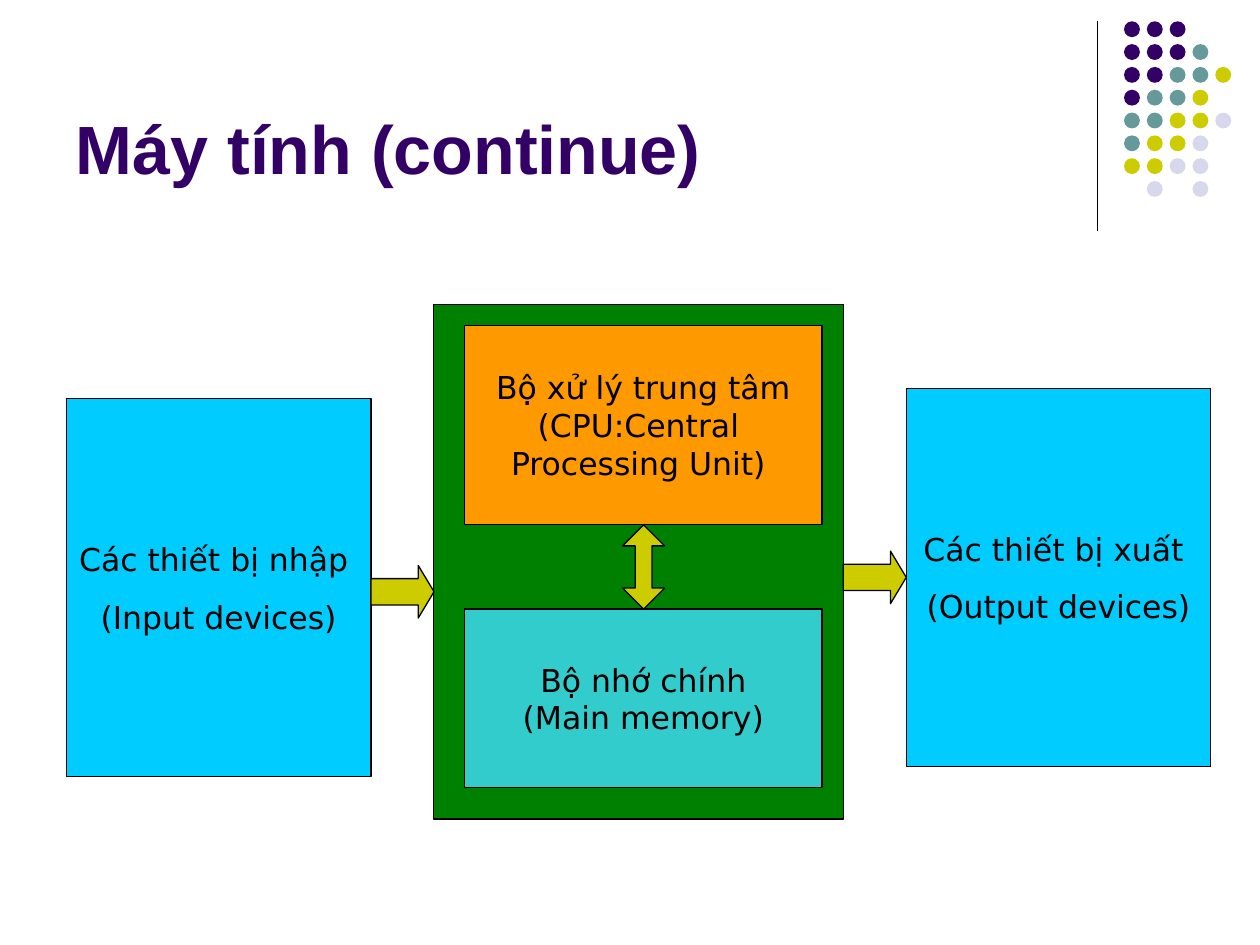
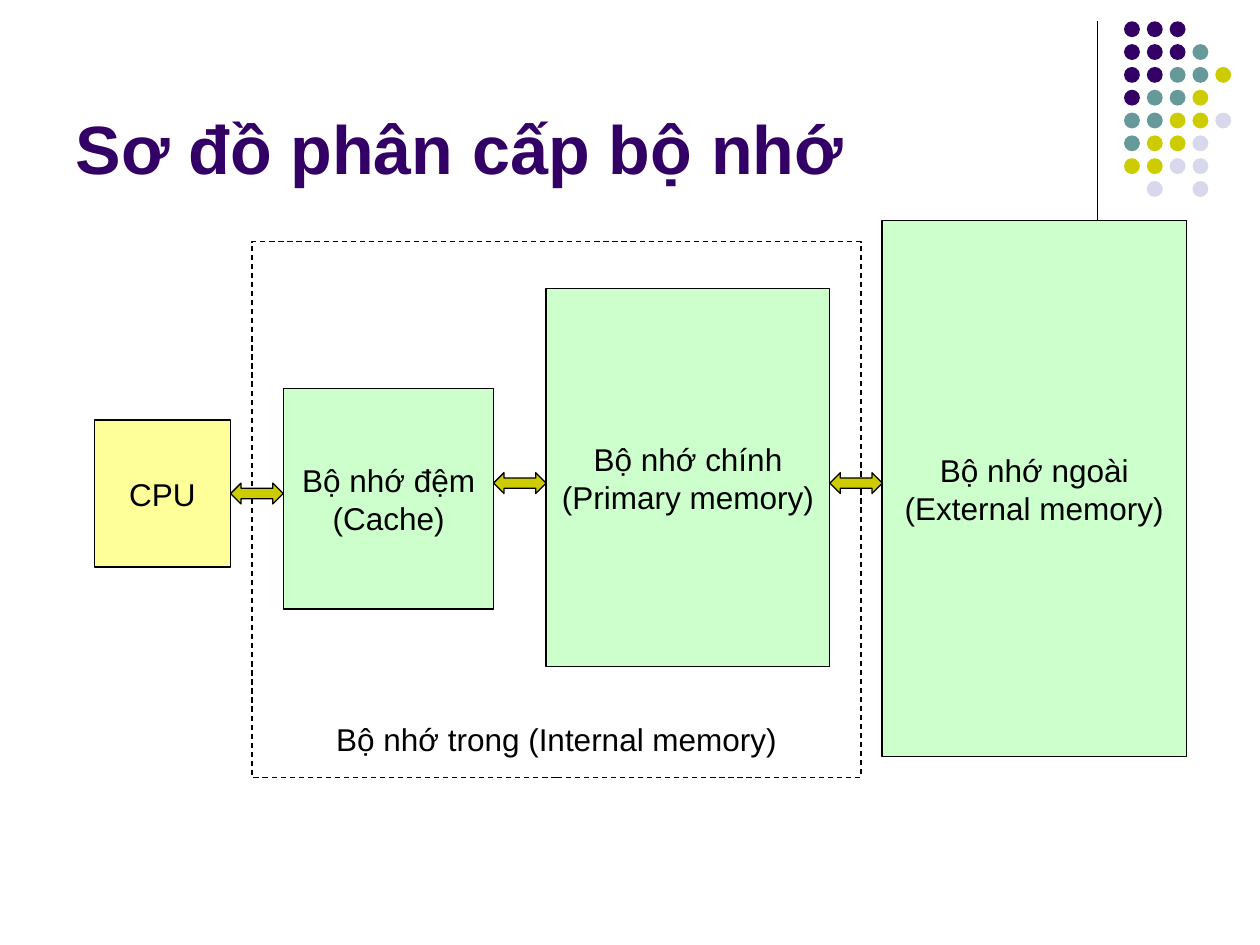
import pptx
import pptx.util
import pptx.dml.color
import pptx.enum.dml
import pptx.enum.shapes
import pptx.enum.text
import lxml.etree

Cm = pptx.util.Cm
Pt = pptx.util.Pt
MSO_SHAPE = pptx.enum.shapes.MSO_SHAPE

COLORS = {
    "purple": "330066", "teal": "669999", "olive": "CCCC00", "lavender": "D8D8EC",
    "black": "000000", "cyan": "00CCFF", "green": "008000", "orange": "FF9900",
    "turquoise": "33CCCC", "mint": "CCFFCC", "yellow": "FFFF99",
}
DOT_COLORS = {"P": "purple", "T": "teal", "O": "olive", "L": "lavender"}
DOT_ROWS = ["PPP", "PPPT", "PPTTO", "PTTO", "TTOOL", "TOOL", "OOLL", " L L"]
DOT_PITCH = 0.46
TITLES = ["Máy tính (continue)", "Sơ đồ phân cấp bộ nhớ"]


def draw(slide, kind, box, fill=None, line="black"):
    """Add a preset shape; box is left, top, width, height in centimetres."""
    shape = slide.shapes.add_shape(kind, *[Cm(length) for length in box])
    shape.shadow.inherit = False
    if fill:
        shape.fill.solid()
        shape.fill.fore_color.rgb = pptx.dml.color.RGBColor.from_string(COLORS[fill])
    else:
        shape.fill.background()
    if line:
        shape.line.color.rgb = pptx.dml.color.RGBColor.from_string(COLORS[line])
        shape.line.width = Pt(0.75)
    else:
        shape.line.fill.background()
    return shape


def write(shape, lines, font="Arial", size=18, color="black", bold=False,
          align="CENTER", anchor="MIDDLE", wrap=False, gap=0):
    """Fill a shape with one paragraph per line, with a gap in points between them."""
    frame = shape.text_frame
    frame.word_wrap = wrap
    frame.auto_size = pptx.enum.text.MSO_AUTO_SIZE.NONE
    frame.vertical_anchor = pptx.enum.text.MSO_ANCHOR[anchor]
    for index, text in enumerate(lines):
        paragraph = frame.add_paragraph() if index else frame.paragraphs[0]
        paragraph.alignment = pptx.enum.text.PP_ALIGN[align]
        paragraph.space_before = Pt(gap if index else 0)
        run = paragraph.add_run()
        run.text = text
        run.font.name = font
        run.font.size = Pt(size)
        run.font.bold = bold
        run.font.color.rgb = pptx.dml.color.RGBColor.from_string(COLORS[color])


presentation = pptx.Presentation()
presentation.slide_width = Cm(25.4)
presentation.slide_height = Cm(19.05)

# Shared parts: title, vertical rule and dot pattern
slides = []
for title_text in TITLES:
    slide = presentation.slides.add_slide(presentation.slide_layouts[5])
    slides.append(slide)
    title = slide.shapes.title
    title.left, title.top, title.width, title.height = Cm(1.27), Cm(0.33), Cm(20.96), Cm(3.6)
    write(title, [title_text], size=39, color="purple", bold=True,
          align="LEFT", anchor="BOTTOM", wrap=True)

    rule = slide.shapes.add_connector(pptx.enum.shapes.MSO_CONNECTOR.STRAIGHT,
                                      Cm(22.12), Cm(0.43), Cm(22.12), Cm(4.65))
    rule.line.color.rgb = pptx.dml.color.RGBColor.from_string(COLORS["black"])
    rule.line.width = Pt(0.75)
    lxml.etree.SubElement(rule.element.spPr, pptx.oxml.ns.qn("a:effectLst"))

    for row, pattern in enumerate(DOT_ROWS):
        for column, code in enumerate(pattern):
            if code in DOT_COLORS:
                dot_box = (22.66 + column * DOT_PITCH, 0.43 + row * DOT_PITCH, 0.32, 0.32)
                draw(slide, MSO_SHAPE.OVAL, dot_box, DOT_COLORS[code], line=None)

computer_slide, memory_slide = slides

# Computer: input and output devices
devices = [
    (1.34, 8.04, ["Các thiết bị nhập ", "(Input devices)"]),
    (18.27, 7.83, ["Các thiết bị xuất ", "(Output devices)"]),
]
for left, top, lines in devices:
    device = draw(computer_slide, MSO_SHAPE.RECTANGLE, (left, top, 6.14, 7.62), "cyan")
    write(device, lines, font="DejaVu Sans", wrap=True, gap=11.2)

# Computer: processor and main memory inside the case
draw(computer_slide, MSO_SHAPE.RECTANGLE, (8.74, 6.14, 8.26, 10.37), "green")
units = [
    (6.56, 4.02, "orange", ["Bộ xử lý trung tâm", "(CPU:Central ", "Processing Unit) "]),
    (12.28, 3.6, "turquoise", ["Bộ nhớ chính", "(Main memory)"]),
]
for top, height, fill, lines in units:
    unit = draw(computer_slide, MSO_SHAPE.RECTANGLE, (9.37, top, 7.2, height), fill)
    write(unit, lines, font="DejaVu Sans")

# Memory: dashed frame and its label
frame_box = draw(memory_slide, MSO_SHAPE.RECTANGLE, (5.08, 4.87, 12.28, 10.8))
frame_box.line.dash_style = pptx.enum.dml.MSO_LINE.DASH
label = memory_slide.shapes.add_textbox(Cm(5.72), Cm(14.39), Cm(11), Cm(1.02))
write(label, ["Bộ nhớ trong (Internal memory)"], anchor="TOP", wrap=True)

# Memory: levels from the processor outwards
levels = [
    ((1.9, 8.47, 2.75, 2.96), "yellow", ["CPU"]),
    ((5.72, 7.83, 4.23, 4.45), "mint", ["Bộ nhớ đệm", "(Cache)"]),
    ((11.01, 5.82, 5.72, 7.62), "mint", ["Bộ nhớ chính", "(Primary memory)"]),
    ((17.78, 4.45, 6.14, 10.8), "mint", ["Bộ nhớ ngoài", "(External memory)"]),
]
for box, fill, lines in levels:
    write(draw(memory_slide, MSO_SHAPE.RECTANGLE, box, fill), lines)

# Data flow arrows on both slides
arrows = [
    (computer_slide, MSO_SHAPE.UP_DOWN_ARROW, (12.55, 10.58, 0.85, 1.7), 0.4),
    (computer_slide, MSO_SHAPE.RIGHT_ARROW, (17, 11.11, 1.27, 1.06), 0.3),
    (computer_slide, MSO_SHAPE.RIGHT_ARROW, (7.48, 11.4, 1.27, 1.06), 0.3),
    (memory_slide, MSO_SHAPE.LEFT_RIGHT_ARROW, (4.65, 9.74, 1.06, 0.42), 0.5),
    (memory_slide, MSO_SHAPE.LEFT_RIGHT_ARROW, (9.95, 9.53, 1.06, 0.42), 0.5),
    (memory_slide, MSO_SHAPE.LEFT_RIGHT_ARROW, (16.73, 9.53, 1.06, 0.42), 0.5),
]
for slide, kind, box, head in arrows:
    arrow = draw(slide, kind, box, "olive")
    arrow.adjustments[0] = 0.5
    arrow.adjustments[1] = head

presentation.save("out.pptx")
